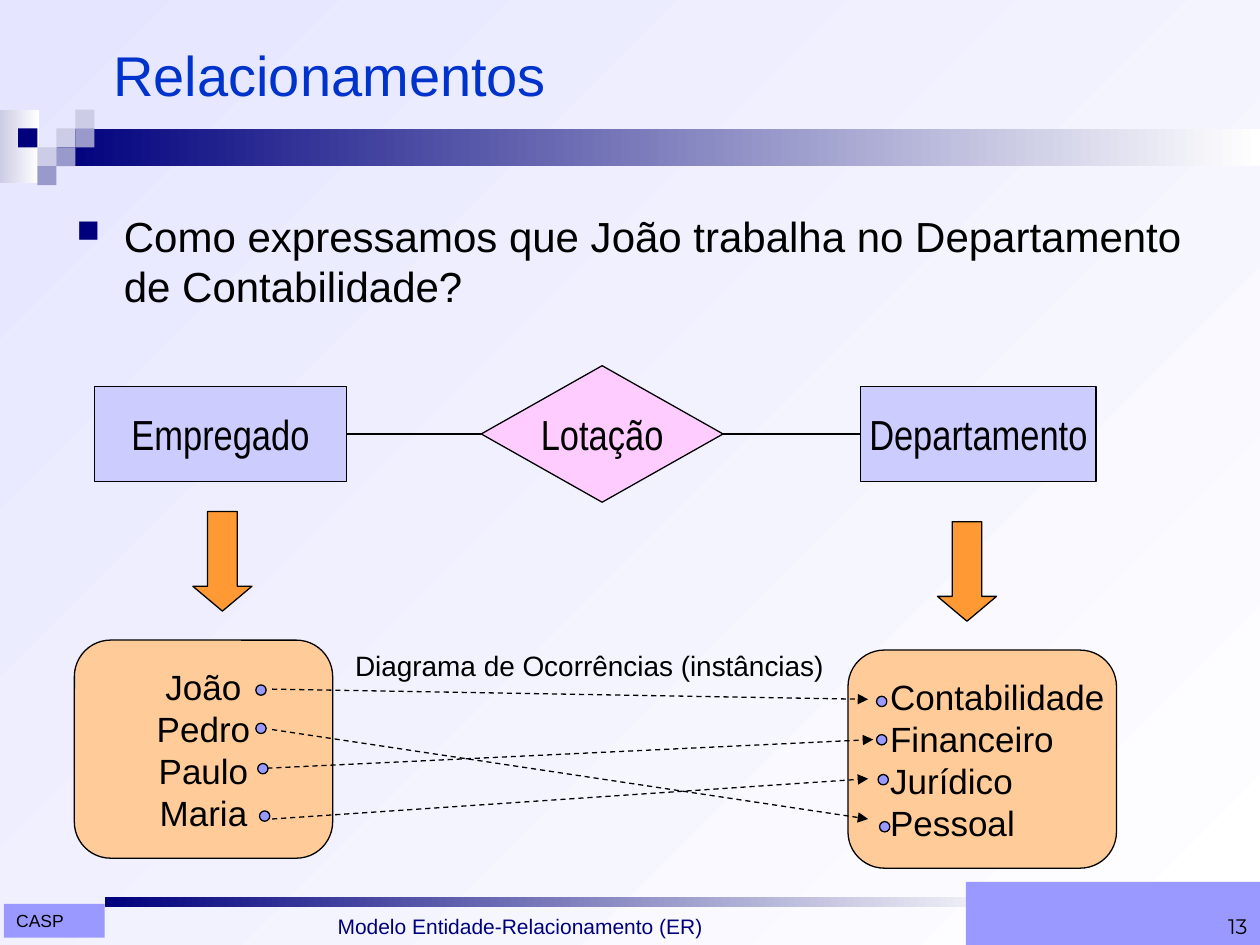
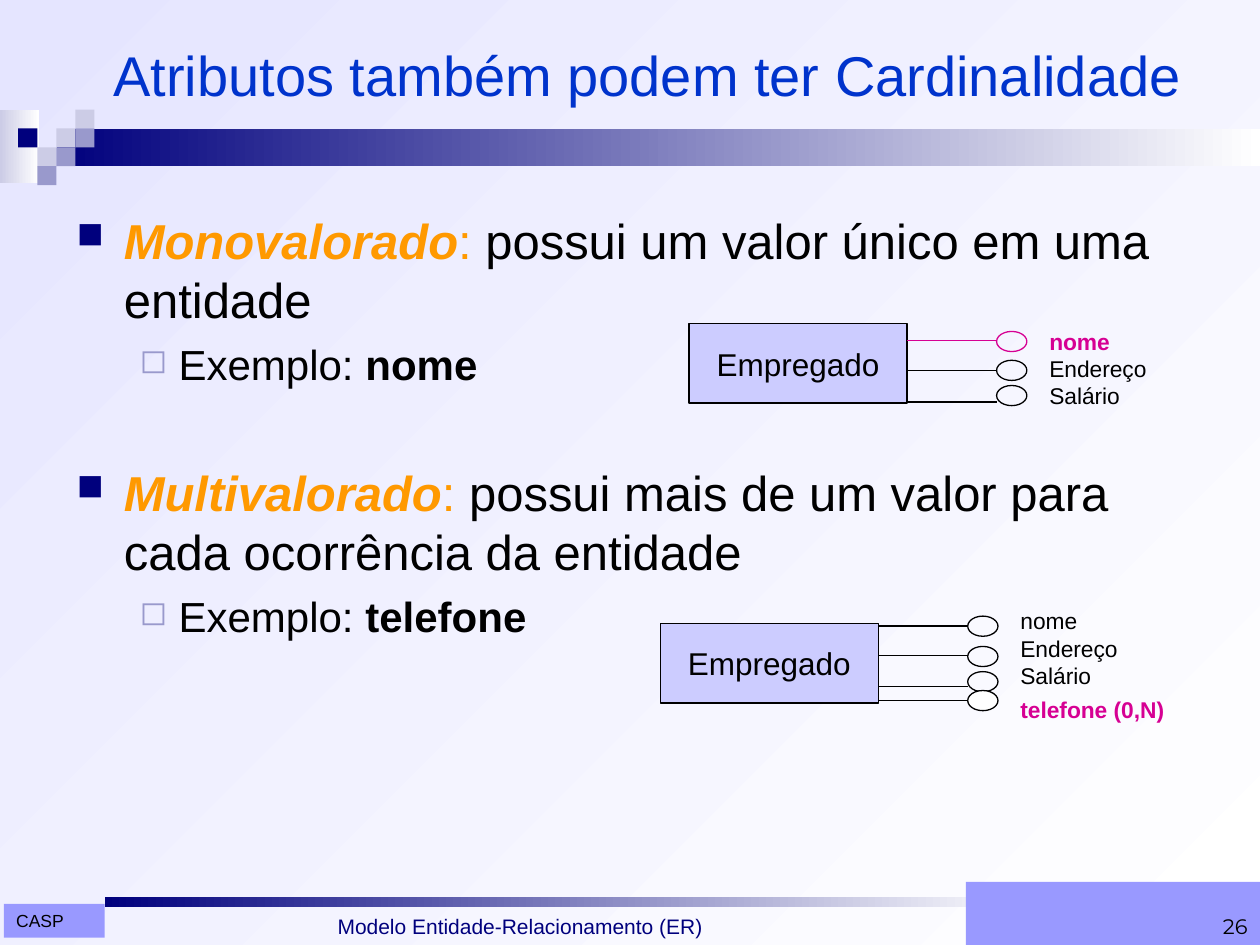
from dataclasses import dataclass
from typing import NamedTuple, Optional, Sequence

from lxml.etree import SubElement
from pptx import Presentation
from pptx.dml.color import RGBColor
from pptx.enum.dml import MSO_LINE_DASH_STYLE as DASH
from pptx.enum.shapes import MSO_CONNECTOR, MSO_SHAPE as SHAPE
from pptx.enum.text import MSO_ANCHOR as ANCHOR, MSO_AUTO_SIZE as AUTO, PP_ALIGN as ALIGN
from pptx.oxml.ns import qn
from pptx.util import Pt

BLACK, WHITE = "000000", "FFFFFF"
NAVY, BLUE, PERIWINKLE = "00007D", "0033CC", "9999FF"
PALE, MUTED, LILAC = "CCCCE6", "9999CC", "CCCCFF"
PINK, PEACH, ORANGE, AMBER, MAGENTA = "FFCCFF", "FFCC99", "FF9933", "FF9900", "D60093"
TITLE_ONLY = 5


class Box(NamedTuple):
    left: float
    top: float
    width: float
    height: float

    def points(self) -> list:
        return [Pt(v) for v in self]


class Run(NamedTuple):
    text: str
    size: float
    color: str = BLACK
    bold: bool = False
    italic: bool = False
    font: str = "Arial"


class Bullet(NamedTuple):
    char: str
    color: str
    percent: int
    margin: float
    hang: float


@dataclass
class Para:
    runs: Sequence[Run]
    bullet: Optional[Bullet] = None
    level: int = 0
    before: float = 0


class Square(NamedTuple):
    col: int
    row: int
    color: str


class Occurrence(NamedTuple):
    """Dashed arrow from an employee to a department."""
    x1: float
    y1: float
    x2: float
    y2: float


class Attribute(NamedTuple):
    oval_top: float
    line_y: float
    color: str = BLACK
    fill: Optional[str] = None


SQUARE_BULLET = Bullet("■", NAVY, 75, 27, 27)
HOLLOW_BULLET = Bullet("◻", MUTED, 80, 58.3, 22.3)
BODY = Box(36.7, 116.6, 648.5, 363)
SQUARES = [Square(2, 1, PALE), Square(3, 0, PALE), Square(3, 1, MUTED), Square(1, 2, PALE),
           Square(0, 1, NAVY), Square(2, 2, MUTED), Square(1, 3, MUTED)]


def rgb(color: str) -> RGBColor:
    return RGBColor.from_string(color)


def set_gradient(fill, start: str, end: str, angle: float = 0) -> None:
    fill.gradient()
    fill.gradient_angle = angle
    for stop, color in zip(fill.gradient_stops, (start, end)):
        stop.color.rgb = rgb(color)


def add_shape(s, kind, box: Box, fill: Optional[str] = None, line: Optional[str] = None):
    sp = s.shapes.add_shape(kind, *box.points())
    sp.shadow.inherit = False
    if fill:
        sp.fill.solid()
        sp.fill.fore_color.rgb = rgb(fill)
    else:
        sp.fill.background()
    if line:
        sp.line.color.rgb = rgb(line)
        sp.line.width = Pt(0.75)
    else:
        sp.line.fill.background()
    return sp


def add_bullet(p, bullet: Bullet) -> None:
    pPr = p._p.get_or_add_pPr()
    pPr.set("marL", str(Pt(bullet.margin)))
    pPr.set("indent", str(-Pt(bullet.hang)))
    SubElement(SubElement(pPr, qn("a:buClr")), qn("a:srgbClr")).set("val", bullet.color)
    SubElement(pPr, qn("a:buSzPct")).set("val", str(bullet.percent * 1000))
    SubElement(pPr, qn("a:buChar")).set("char", bullet.char)


def write(sp, paras: Sequence[Para], align=ALIGN.LEFT, anchor=ANCHOR.TOP, wrap: bool = True) -> None:
    tf = sp.text_frame
    tf.auto_size = AUTO.NONE
    tf.word_wrap = wrap
    tf.vertical_anchor = anchor
    for i, para in enumerate(paras):
        p = tf.add_paragraph() if i else tf.paragraphs[0]
        p.alignment = align
        p.level = para.level
        if para.bullet:
            add_bullet(p, para.bullet)
        p.space_before = Pt(para.before)
        for run in para.runs:
            r = p.add_run()
            r.text = run.text
            r.font.name, r.font.size = run.font, Pt(run.size)
            r.font.bold, r.font.italic = run.bold, run.italic
            r.font.color.rgb = rgb(run.color)


def add_text(s, box: Box, paras: Sequence[Para], **layout) -> None:
    write(s.shapes.add_textbox(*box.points()), paras, **layout)


def add_label_shape(s, kind, box: Box, fill: str, runs: Sequence[Run], align=ALIGN.CENTER):
    """Outlined shape with one unwrapped line for each run."""
    sp = add_shape(s, kind, box, fill, BLACK)
    write(sp, [Para([run]) for run in runs], align, ANCHOR.MIDDLE, wrap=False)
    return sp


def add_line(s, x1: float, y1: float, x2: float, y2: float, color: str = BLACK):
    c = s.shapes.add_connector(MSO_CONNECTOR.STRAIGHT, Pt(x1), Pt(y1), Pt(x2), Pt(y2))
    c.line.color.rgb = rgb(color)
    c.line.width = Pt(0.75)
    SubElement(c._element.spPr, qn("a:effectLst"))
    return c


def add_base_slide(prs, title: str, number: int):
    s = prs.slides.add_slide(prs.slide_layouts[TITLE_ONLY])
    set_gradient(s.background.fill, "E5E5FF", WHITE, 315)
    for box, start in ((Box(0, 62.6, 22.3, 41.8), PALE),
                       (Box(32.4, 73.6, 687.6, 21.4), NAVY),
                       (Box(59.8, 512.6, 531.4, 5.8), NAVY)):
        set_gradient(add_shape(s, SHAPE.RECTANGLE, box, start).fill, start, WHITE)
    for q in SQUARES:
        box = Box(10.4 + 10.9 * q.col, 62.6 + 10.8 * q.row, 10.9, 10.8)
        add_shape(s, SHAPE.RECTANGLE, box, q.color)

    course = add_shape(s, SHAPE.RECTANGLE, Box(2.2, 516.5, 57.6, 19.4), PERIWINKLE)
    write(course, [Para([Run("CASP", 10)])])
    add_text(s, Box(185.8, 502.6, 332.6, 37.4),
             [Para([Run("Modelo Entidade-Relacionamento (ER)", 12, NAVY)])], anchor=ANCHOR.BOTTOM)
    page = add_shape(s, SHAPE.RECTANGLE, Box(552, 504, 168, 36), PERIWINKLE)
    write(page, [Para([Run(str(number), 12, font="Montserrat")])], ALIGN.RIGHT, ANCHOR.BOTTOM)

    ph = s.shapes.title
    ph.left, ph.top, ph.width, ph.height = Box(57.6, 9.4, 648.5, 65.5).points()
    write(ph, [Para([Run(title, 32, BLUE)])], anchor=ANCHOR.MIDDLE)
    return s


def add_relationship(s) -> None:
    def narrow(text: str) -> list:
        return [Run(text, 24, font="Arial Narrow")]

    employee = add_label_shape(s, SHAPE.RECTANGLE, Box(54, 221, 144, 54), LILAC, narrow("Empregado"))
    department = add_label_shape(s, SHAPE.RECTANGLE, Box(491.8, 221, 134.6, 54), LILAC,
                                 narrow("Departamento"))
    posting = add_label_shape(s, SHAPE.FLOWCHART_DECISION, Box(275, 209, 138.2, 78), PINK,
                              narrow("Lotação"))
    for left, right in ((employee, posting), (posting, department)):
        c = add_line(s, 0, 0, 0, 0)
        c.begin_connect(left, 3)
        c.end_connect(right, 1)


def add_occurrences(s) -> None:
    add_label_shape(s, SHAPE.ROUNDED_RECTANGLE, Box(42.5, 365.8, 147.6, 124.6), PEACH,
                    [Run(name, 20) for name in ("João", "Pedro", "Paulo", "Maria")])
    names = ("Contabilidade", "Financeiro", "Jurídico", "Pessoal")
    departments = add_label_shape(s, SHAPE.ROUNDED_RECTANGLE, Box(484.6, 371.5, 153.4, 124.6), PEACH,
                                  [Run(name, 20) for name in names], ALIGN.LEFT)
    departments.text_frame.margin_left = Pt(18)
    departments.text_frame.margin_right = Pt(1)

    for left, top in ((110.2, 292.3), (535.7, 298.1)):
        arrow = add_shape(s, SHAPE.DOWN_ARROW, Box(left, top, 33.8, 56.9), ORANGE, BLACK)
        arrow.adjustments[1] = 0.42

    for o in (Occurrence(155.5, 393.8, 496.1, 399.6), Occurrence(155.5, 416.9, 496.1, 468),
              Occurrence(147.6, 439.2, 499, 422.6), Occurrence(155.5, 468, 496.1, 445)):
        c = add_line(s, *o)
        c.line.dash_style = DASH.DASH
        SubElement(c.line._get_or_add_ln(), qn("a:tailEnd")).set("type", "triangle")

    for left, top in ((146.2, 391.4), (146.2, 413.3), (147.3, 436.3), (148.3, 463.4),
                      (500.9, 397.9), (500.9, 419.8), (501.8, 442.6), (502.6, 469.5)):
        add_shape(s, SHAPE.OVAL, Box(left, top, 5.9, 5.9), PERIWINKLE, BLACK)

    add_text(s, Box(195.8, 367.2, 282.2, 26.6),
             [Para([Run("Diagrama de Ocorrências (instâncias)", 16)])], wrap=False)


def add_entity(s, left: float, top: float, attributes: Sequence[Attribute],
               labels_top: float, labels: Sequence[Run]) -> None:
    width, oval_left = 124.6, left + 175.7
    add_label_shape(s, SHAPE.RECTANGLE, Box(left, top, width, 45.4), LILAC, [Run("Empregado", 18)])
    for a in attributes:
        add_line(s, left + width, a.line_y, oval_left, a.line_y, a.color)
        add_shape(s, SHAPE.OVAL, Box(oval_left, a.oval_top, 17.3, 11.5), a.fill, a.color)
    add_text(s, Box(left + 198.7, labels_top, 73.4, 54), [Para([run]) for run in labels], wrap=False)


def definition(term: str, meaning: str, example: str, before: float = 0) -> list:
    return [
        Para([Run(term, 28, AMBER, True, True), Run(":", 28, AMBER), Run(meaning, 28)],
             SQUARE_BULLET, before=before),
        Para([Run("Exemplo: ", 24), Run(example, 24, bold=True)], HOLLOW_BULLET, level=1, before=6),
    ]


def build_relationships(prs) -> None:
    s = add_base_slide(prs, "Relacionamentos", 13)
    question = "Como expressamos que João trabalha no Departamento de Contabilidade?"
    add_text(s, BODY, [Para([Run(question, 24)], SQUARE_BULLET)])
    add_relationship(s)
    add_occurrences(s)


def build_attributes(prs) -> None:
    s = add_base_slide(prs, "Atributos também podem ter Cardinalidade", 26)
    add_text(s, BODY, [
        *definition("Monovalorado", " possui um valor único em uma entidade", "nome"),
        *definition("Multivalorado", " possui mais de um valor para cada ocorrência da entidade",
                    "telefone", before=42)])
    shared = [Run("Endereço", 13), Run("Salário", 13)]
    add_entity(s, 393.8, 185,
               [Attribute(189.4, 194.4, MAGENTA), Attribute(205.9, 211.7), Attribute(220.3, 229.7)],
               183.6, [Run("nome", 13, MAGENTA, True), *shared])
    add_entity(s, 377.3, 356.4,
               [Attribute(352.1, 357.8), Attribute(369.4, 374.4), Attribute(383.8, 392.4),
                Attribute(394.6, 400.3, fill=WHITE)],
               343.4, [Run("nome", 13), *shared])
    add_text(s, Box(576, 393.8, 96.5, 23), [Para([Run("telefone (0,N)", 13, MAGENTA, True)])], wrap=False)


def main() -> None:
    prs = Presentation()
    prs.slide_width, prs.slide_height = Pt(720), Pt(540)
    build_relationships(prs)
    build_attributes(prs)
    prs.save("out.pptx")


if __name__ == "__main__":
    main()
